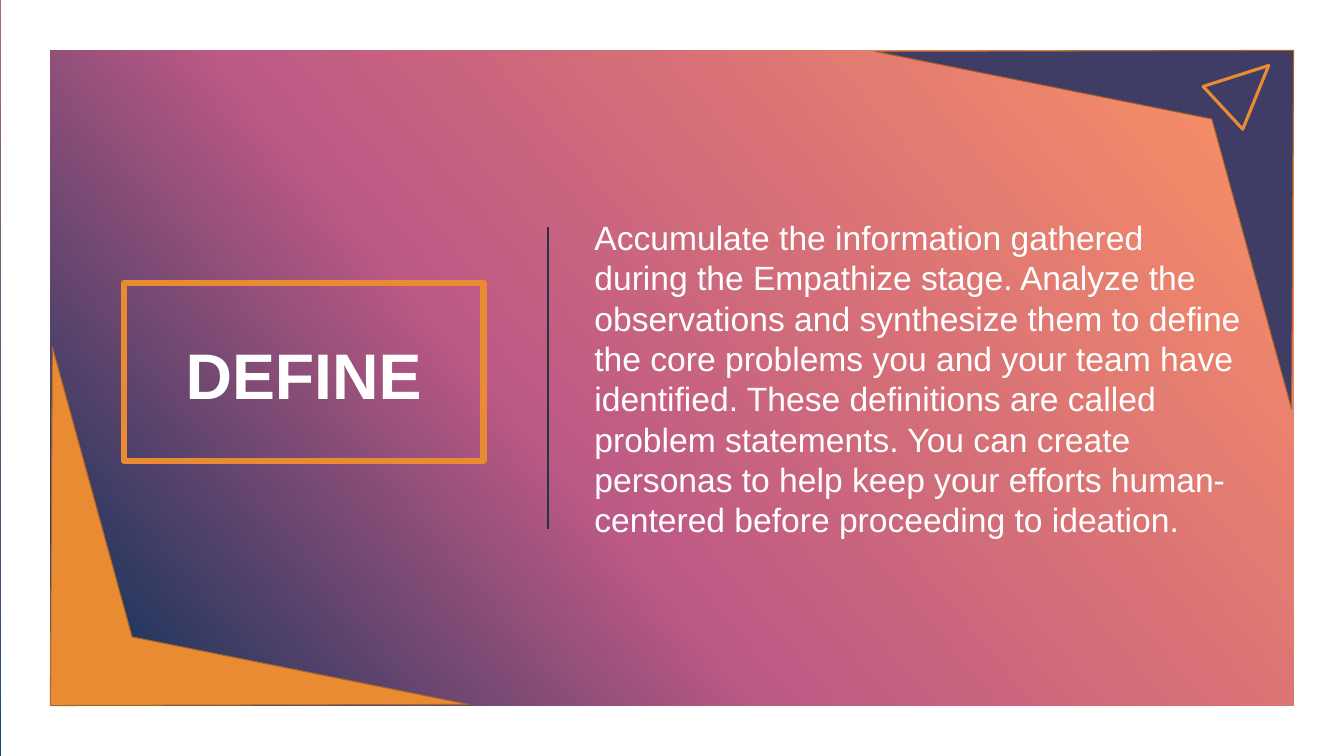
import copy

import pptx
import pptx.dml.color
import pptx.enum.shapes
import pptx.enum.text
import pptx.oxml
import pptx.oxml.ns
import pptx.util

Cm = pptx.util.Cm
Pt = pptx.util.Pt
SHAPES = pptx.enum.shapes.MSO_SHAPE
ALIGN = pptx.enum.text.PP_ALIGN

WIDTH, HEIGHT, MARGIN = 33.87, 19.05, 1.27
WHITE, ORANGE, RUST = "FFFFFF", "E88B33", "A96525"
INDIGO, SLATE = "3F3D65", "243541"
SUNSET = [(0, "FC9364"), (0.6, "BD5985"), (1, "023056")]

DEFINITION = [
    "Accumulate the information gathered",
    "during the Empathize stage. Analyze the",
    "observations and synthesize them to define the core problems you and "
    "your team have identified. These definitions are called problem "
    "statements. You can create personas to help keep your efforts "
    "human-centered before proceeding to ideation.",
]


def color(hex_string):
    return pptx.dml.color.RGBColor.from_string(hex_string)


def write(paragraph, text, size, bold=False, hue=WHITE, align=ALIGN.LEFT, spacing=1.0):
    paragraph.alignment = align
    paragraph.line_spacing = spacing
    paragraph.space_before = Pt(0)
    run = paragraph.add_run()
    run.text = text
    run.font.name = "Arial"
    run.font.size = Pt(size)
    run.font.bold = bold
    run.font.color.rgb = color(hue)


class DefineSlide:
    def __init__(self, deck):
        self.slide = deck.slides.add_slide(deck.slide_layouts[1])
        self.shapes = self.slide.shapes
        self.gradient(self.slide.background.fill)

    def gradient(self, fill):
        fill.gradient()
        fill.gradient_angle = 220
        first = fill.gradient_stops[0]._gs
        first.addnext(copy.deepcopy(first))
        for stop, (position, hue) in zip(fill.gradient_stops, SUNSET):
            stop.position = position
            stop.color.rgb = color(hue)

    def paint(self, shape, fill=None, line=None, weight=0.75):
        shape.shadow.inherit = False
        if fill == SUNSET:
            self.gradient(shape.fill)
        elif fill:
            shape.fill.solid()
            shape.fill.fore_color.rgb = color(fill)
        else:
            shape.fill.background()
        if line:
            shape.line.color.rgb = color(line)
            shape.line.width = Pt(weight)
        else:
            shape.line.fill.background()

    def preset(self, kind, box, rotation=0, **style):
        shape = self.shapes.add_shape(kind, *map(Cm, box))
        shape.rotation = rotation
        self.paint(shape, **style)

    def corner(self, points, **style):
        start, *rest = [(Cm(x), Cm(y)) for x, y in points]
        builder = self.shapes.build_freeform(*start)
        builder.add_line_segments(rest, close=True)
        self.paint(builder.convert_to_shape(), **style)

    def divider(self, x, top, bottom):
        line = self.shapes.add_connector(
            pptx.enum.shapes.MSO_CONNECTOR.STRAIGHT, Cm(x), Cm(top), Cm(x), Cm(bottom))
        line.line.color.rgb = color(SLATE)
        line.line.width = Pt(1.5)
        line._element.spPr.append(pptx.oxml.parse_xml(
            f"<a:effectLst {pptx.oxml.ns.nsdecls('a')}/>"))

    def place(self, holder, box, inset):
        self.shapes._spTree.append(holder._element)
        holder.left, holder.top, holder.width, holder.height = map(Cm, box)
        frame = holder.text_frame
        frame.word_wrap = True
        frame.auto_size = pptx.enum.text.MSO_AUTO_SIZE.NONE
        frame.vertical_anchor = pptx.enum.text.MSO_ANCHOR.MIDDLE
        frame.margin_left = frame.margin_right = Cm(inset)
        return frame

    def title(self, text, box):
        frame = self.place(self.shapes.title, box, 0.25)
        write(frame.paragraphs[0], text, 46, bold=True, align=ALIGN.CENTER, spacing=0.9)

    def body(self, texts, box):
        frame = self.place(self.slide.placeholders[1], box, 0)
        for index, text in enumerate(texts):
            paragraph = frame.add_paragraph() if index else frame.paragraphs[0]
            write(paragraph, text, 24)
            self.blank_bullet(paragraph)

    def blank_bullet(self, paragraph):
        properties = paragraph._p.get_or_add_pPr()
        properties.set("marL", str(Cm(0.25)))
        properties.set("indent", str(Cm(-0.43)))
        ns = pptx.oxml.ns.nsdecls("a")
        properties.append(pptx.oxml.parse_xml(
            f'<a:buClr {ns}><a:srgbClr val="{ORANGE}"/></a:buClr>'))
        properties.append(pptx.oxml.parse_xml(f'<a:buChar {ns} char=" "/>'))


def main():
    deck = pptx.Presentation()
    deck.slide_width, deck.slide_height = Cm(WIDTH), Cm(HEIGHT)
    page = DefineSlide(deck)

    page.preset(SHAPES.RECTANGLE, (0.02, 0, WIDTH - 0.02, HEIGHT), fill=WHITE)
    page.preset(SHAPES.RECTANGLE,
                (MARGIN, MARGIN, WIDTH - 2 * MARGIN, HEIGHT - 2 * MARGIN), fill=SUNSET)
    page.title("DEFINE", (2.39, 2.67, 10.52, 13.72))
    page.divider(13.82, 5.72, 13.34)
    page.body(DEFINITION, (14.73, 2.67, 16.59, 13.72))
    page.preset(SHAPES.RECTANGLE, (3.12, 7.14, 9.07, 4.47), line=ORANGE, weight=4.5)

    lower_left = [(1.32, 8.74), (3.33, 16.05), (11.81, 17.75), (1.27, 17.78)]
    upper_right = [(WIDTH - x, HEIGHT - y) for x, y in lower_left]
    page.corner(lower_left, fill=ORANGE, line=RUST)
    page.corner(upper_right, fill=INDIGO, line=RUST)
    page.preset(SHAPES.FLOWCHART_EXTRACT, (30.66, 1.4, 1.47, 1.57),
                rotation=47.2, line=ORANGE, weight=2.25)

    deck.save("out.pptx")


if __name__ == "__main__":
    main()
